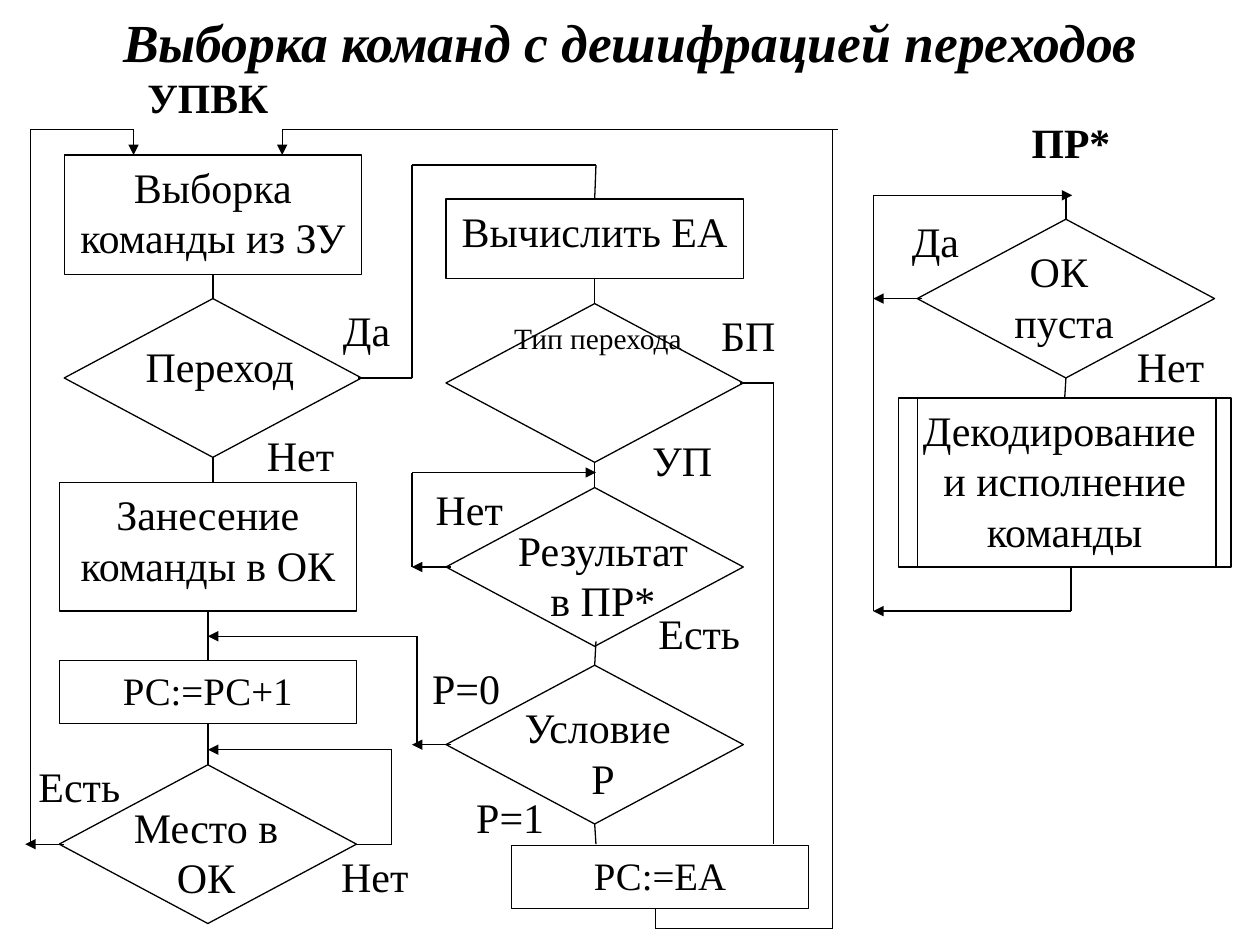
"""Draw the flowchart of instruction fetch with branch decoding."""
import dataclasses

import lxml.etree
import pptx
import pptx.dml.color
import pptx.enum.shapes
import pptx.enum.text
import pptx.oxml.ns
import pptx.util

PX = 9144
INK = "000000"
FONT = "Times New Roman"
KIND = pptx.enum.shapes.MSO_SHAPE
LINK = pptx.enum.shapes.MSO_CONNECTOR
ANCHOR = pptx.enum.text.MSO_ANCHOR
Point = tuple[int, int]


@dataclasses.dataclass
class Box:
    left: int
    top: int
    width: int
    height: int
    text: str
    size: float = 24

    def sides(self) -> list[Point]:
        mid, half = self.left + self.width // 2, self.top + self.height // 2
        right, base = self.left + self.width, self.top + self.height
        return [(mid, self.top), (self.left, half), (mid, base), (right, half)]


@dataclasses.dataclass
class Choice:
    left: int
    top: int
    label: Box


@dataclasses.dataclass
class Tag:
    left: int
    top: int
    text: str
    width: int = 86


@dataclasses.dataclass
class Path:
    points: list[Point]
    arrow: bool = False


STEPS = [
    Box(51, 123, 236, 95, "Выборка команды из ЗУ"),
    Box(47, 383, 236, 102, "Занесение команды в ОК"),
    Box(47, 524, 236, 50, "РС:=РС+1", 22.2),
    Box(354, 158, 236, 63, "Вычислить ЕА"),
    Box(406, 671, 236, 50, "РС:=ЕА", 22.2),
    Box(713, 316, 264, 134, "Декодирование \nи исполнение команды"),
]
CHOICES = [
    Choice(51, 237, Box(90, 265, 169, 67, "Переход")),
    Choice(47, 607, Box(79, 631, 169, 102, "Место в ОК")),
    Choice(354, 241, Box(390, 249, 169, 67, "Тип перехода", 16.8)),
    Choice(354, 387, Box(394, 411, 169, 102, "Результат в ПР*")),
    Choice(354, 528, Box(394, 552, 169, 102, "Условие \vР")),
    Choice(728, 174, Box(760, 190, 169, 102, "ОК \nпуста")),
]
TAGS = [
    Tag(20, 599, "Есть"), Tag(256, 670, "Нет", 83), Tag(197, 336, "Нет", 83),
    Tag(248, 237, "Да"), Tag(500, 340, "УП", 83), Tag(551, 241, "БП"),
    Tag(512, 477, "Есть"), Tag(362, 623, "Р=1"), Tag(331, 379, "Нет", 83),
    Tag(327, 521, "Р=0"), Tag(886, 265, "Нет"), Tag(701, 166, "Да", 83),
]
HEADS = [Box(98, 52, 134, 50, "УПВК", 23.8), Box(795, 88, 110, 50, "ПР*", 23.8)]
PATHS = [
    Path([(169, 217), (169, 237)]),
    Path([(169, 363), (169, 383)]),
    Path([(165, 485), (165, 524)]),
    Path([(165, 576), (165, 607)]),
    Path([(51, 670), (20, 670)], True),
    Path([(24, 670), (24, 103), (106, 103), (106, 123)], True),
    Path([(284, 670), (311, 670), (311, 595), (165, 595)], True),
    Path([(284, 300), (327, 300), (327, 131), (473, 131), (473, 158)]),
    Path([(473, 221), (473, 241)]),
    Path([(473, 367), (473, 387)]),
    Path([(473, 509), (473, 528)]),
    Path([(472, 655), (473, 670)]),
    Path([(587, 304), (614, 304), (614, 670)]),
    Path([(358, 450), (327, 450)], True),
    Path([(327, 450), (327, 375), (473, 375)], True),
    Path([(358, 591), (327, 591)], True),
    Path([(331, 591), (331, 505), (165, 505)], True),
    Path([(520, 721), (520, 737), (661, 737), (661, 103)]),
    Path([(665, 103), (224, 103), (224, 123)], True),
    Path([(728, 316), (728, 450)]),
    Path([(965, 316), (965, 450)]),
    Path([(846, 155), (847, 174)]),
    Path([(844, 300), (844, 316)]),
    Path([(732, 237), (693, 237)], True),
    Path([(850, 450), (850, 485), (693, 485)], True),
    Path([(693, 485), (693, 155), (851, 155)], True),
]


def paint(code: str) -> pptx.dml.color.RGBColor:
    return pptx.dml.color.RGBColor.from_string(code)


def write(frame, text: str, size: float = 24, bold: bool = False,
          slant: bool = False, anchor=ANCHOR.TOP) -> None:
    frame.word_wrap = True
    frame.vertical_anchor = anchor
    frame.text = text
    for para in frame.paragraphs:
        para.alignment = pptx.enum.text.PP_ALIGN.CENTER
        for run in para.runs:
            run.font.name = FONT
            run.font.size = pptx.util.Pt(size)
            run.font.bold, run.font.italic = bold, slant
            run.font.color.rgb = paint(INK)


def add_label(slide, box: Box, **form) -> None:
    area = slide.shapes.add_textbox(box.left * PX, box.top * PX,
                                    box.width * PX, box.height * PX)
    write(area.text_frame, box.text, box.size, **form)


def add_block(slide, kind, box: Box):
    block = slide.shapes.add_shape(kind, box.left * PX, box.top * PX,
                                   box.width * PX, box.height * PX)
    block.shadow.inherit = False
    block.fill.background()
    block.line.color.rgb = paint(INK)
    block.line.width = pptx.util.Pt(0.75)
    if box.text:
        write(block.text_frame, box.text, box.size)
    return block


def join(point: Point, blocks: list, link) -> None:
    for box, block in blocks:
        for side, spot in enumerate(box.sides()):
            if max(abs(spot[0] - point[0]), abs(spot[1] - point[1])) <= 2:
                link(block, side)
                return


def add_line(slide, start: Point, end: Point, arrow: bool, blocks: list) -> None:
    line = slide.shapes.add_connector(LINK.STRAIGHT, start[0] * PX, start[1] * PX,
                                      end[0] * PX, end[1] * PX)
    line.line.color.rgb = paint(INK)
    line.line.width = pptx.util.Pt(0.75)
    if arrow:
        lxml.etree.SubElement(line.line._get_or_add_ln(),
                              pptx.oxml.ns.qn("a:tailEnd"), type="triangle")
    lxml.etree.SubElement(line._element.spPr, pptx.oxml.ns.qn("a:effectLst"))
    join(start, blocks, line.begin_connect)
    join(end, blocks, line.end_connect)


def add_path(slide, path: Path, blocks: list) -> None:
    last = len(path.points) - 2
    for rank, (start, end) in enumerate(zip(path.points, path.points[1:])):
        add_line(slide, start, end, path.arrow and rank == last, blocks)


def main() -> None:
    deck = pptx.Presentation()
    deck.slide_width, deck.slide_height = 1000 * PX, 750 * PX
    slide = deck.slides.add_slide(deck.slide_layouts[6])
    title = Box(0, 1, 1000, 64, "Выборка команд с дешифрацией переходов", 30.6)
    add_label(slide, title, bold=True, slant=True, anchor=ANCHOR.MIDDLE)
    blocks = [(step, add_block(slide, KIND.RECTANGLE, step)) for step in STEPS]
    for choice in CHOICES:
        add_label(slide, choice.label)
        shape = Box(choice.left, choice.top, 236, 126, "")
        blocks.append((shape, add_block(slide, KIND.DIAMOND, shape)))
    for path in PATHS:
        add_path(slide, path, blocks)
    for tag in TAGS:
        add_label(slide, Box(tag.left, tag.top, tag.width, 50, tag.text))
    for head in HEADS:
        add_label(slide, head, bold=True)
    deck.save("out.pptx")


if __name__ == "__main__":
    main()
